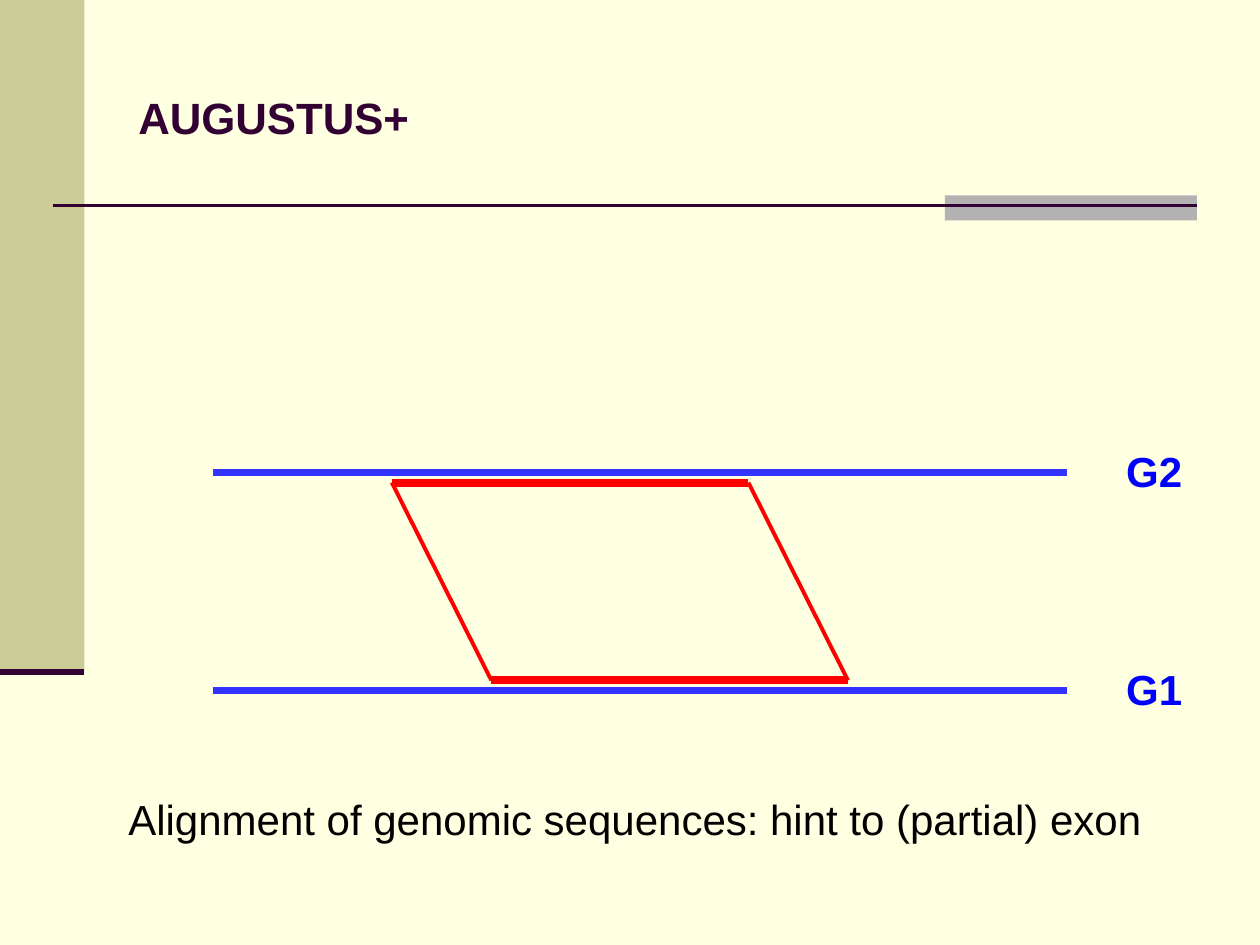
from lxml.etree import SubElement
from pptx import Presentation
from pptx.dml.color import RGBColor
from pptx.enum.shapes import MSO_CONNECTOR, MSO_SHAPE
from pptx.enum.text import MSO_ANCHOR
from pptx.oxml.ns import qn
from pptx.util import Inches, Pt

COLORS = {
    "background": "FFFFE1",
    "sidebar": "CCCC99",
    "tab": "B2B2B2",
    "plum": "330033",
    "genome": "3333FF",
    "label": "0000FF",
    "exon": "FF0000",
    "text": "000000",
}


def rgb(name):
    """Return the named palette colour."""
    return RGBColor.from_string(COLORS[name])


def add_text(s, text, box, size=24, color="text", bold=False,
             anchor=MSO_ANCHOR.TOP, spacing=None):
    """Add a one-paragraph text box."""
    tf = s.shapes.add_textbox(*map(Inches, box)).text_frame
    tf.word_wrap = True
    tf.vertical_anchor = anchor
    p = tf.paragraphs[0]
    if spacing:
        p.line_spacing = spacing
    r = p.add_run()
    r.text = text
    r.font.name = "Arial"
    r.font.size = Pt(size)
    r.font.bold = bold
    r.font.color.rgb = rgb(color)


def add_rect(s, box, color):
    """Add a plain filled rectangle."""
    sp = s.shapes.add_shape(MSO_SHAPE.RECTANGLE, *map(Inches, box))
    sp.shadow.inherit = False
    sp.fill.solid()
    sp.fill.fore_color.rgb = rgb(color)
    sp.line.fill.background()


def add_line(s, start, end, color, width):
    """Add a straight line without a shadow."""
    line = s.shapes.add_connector(MSO_CONNECTOR.STRAIGHT, *map(Inches, (*start, *end)))
    line.line.color.rgb = rgb(color)
    line.line.width = Pt(width)
    SubElement(line._element.spPr, qn("a:effectLst"))


def add_frame(s, box):
    """Add the sidebar, the header rule and its tab."""
    left, top, width, height = box
    side_width, side_bottom = 0.67, top + 5.33
    rule_y, rule_right = top + 1.63, left + width - 0.5
    add_rect(s, (left, top, side_width, side_bottom - top), "sidebar")
    add_rect(s, (rule_right - 2, top + 1.55, 2, 0.2), "tab")
    add_line(s, (left + 0.42, rule_y), (rule_right, rule_y), "plum", 1.5)
    add_line(s, (left, side_bottom), (left + side_width, side_bottom), "plum", 3.5)


def add_alignment(s, box):
    """Add two labelled genomes joined by an aligned exon."""
    left, top, width, height = box
    right, bottom = left + width, top + height
    exon_width, gap = 2.83, 0.08
    upper = (left + 1.42, top + gap)
    lower = (left + 2.21, bottom - gap)
    for y in (bottom, top):
        add_line(s, (left, y), (right, y), "genome", 4.5)
    for x, y in (upper, lower):
        add_line(s, (x, y), (x + exon_width, y), "exon", 4.5)
    for shift in (0, exon_width):
        add_line(s, (upper[0] + shift, upper[1]), (lower[0] + shift, lower[1]), "exon", 2.25)
    for name, y in (("G2", top), ("G1", bottom)):
        add_text(s, name, (right + 0.37, y - 0.26, 0.7, 0.5), color="label", bold=True)


def main():
    """Build and save the slide."""
    prs = Presentation()
    prs.slide_width, prs.slide_height = Inches(10), Inches(7.5)
    s = prs.slides.add_slide(prs.slide_layouts[6])
    s.background.fill.solid()
    s.background.fill.fore_color.rgb = rgb("background")
    add_frame(s, (0, 0, 10, 7.5))
    add_text(s, "AUGUSTUS+", (1, 0.3, 8.5, 1.25), size=25, color="plum",
             bold=True, anchor=MSO_ANCHOR.MIDDLE)
    add_alignment(s, (1.69, 3.75, 6.78, 1.73))
    add_text(s, "Alignment of genomic sequences: hint to (partial) exon",
             (0.92, 6.34, 9.36, 0.4), spacing=0.75)
    prs.save("out.pptx")


if __name__ == "__main__":
    main()
